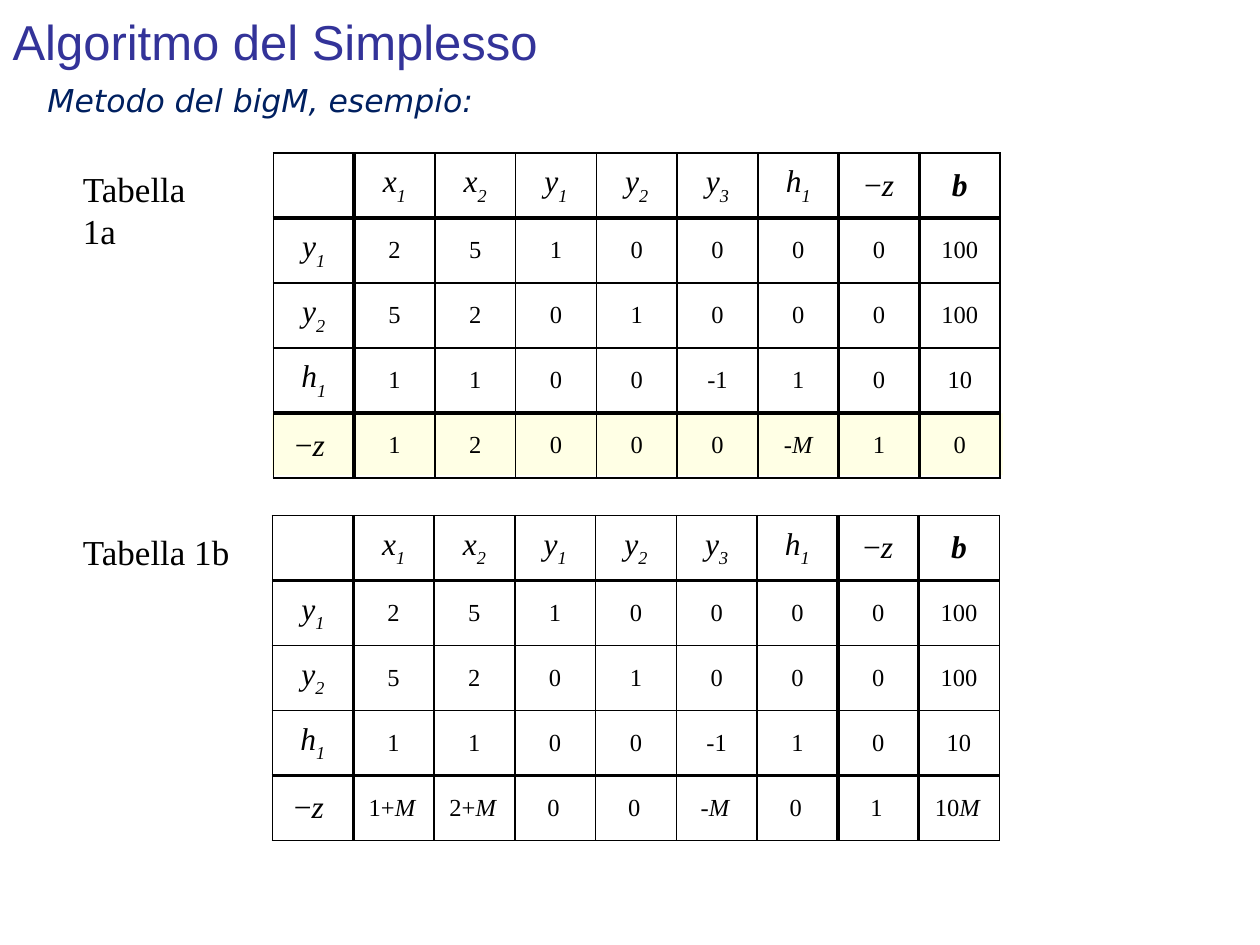
from itertools import groupby

from lxml import etree
from pptx import Presentation
from pptx.dml.color import RGBColor
from pptx.enum.shapes import MSO_SHAPE
from pptx.enum.text import MSO_ANCHOR, MSO_AUTO_SIZE, PP_ALIGN
from pptx.oxml.ns import qn
from pptx.util import Pt

RECT = MSO_SHAPE.RECTANGLE
MIDDLE, TOP = MSO_ANCHOR.MIDDLE, MSO_ANCHOR.TOP
LEFT, CENTER = PP_ALIGN.LEFT, PP_ALIGN.CENTER
FIXED, GROW = MSO_AUTO_SIZE.NONE, MSO_AUTO_SIZE.SHAPE_TO_FIT_TEXT
SERIF = "Times New Roman"
THIN, THICK = 1, 2.25
COLS, ROWS = 9, 5
COL, ROW = 46.15, 37.15
HEAVY_ROWS, HEAVY_COLS = (1, 4), (1, 7, 8)

HEAD = ["", "x_1", "x_2", "y_1", "y_2", "y_3", "h_1", "−z", "b"]
BODY = [
    ["y_1", "2", "5", "1", "0", "0", "0", "0", "100"],
    ["y_2", "5", "2", "0", "1", "0", "0", "0", "100"],
    ["h_1", "1", "1", "0", "0", "-1", "1", "0", "10"],
]
COST = ["−z ", "1", "2", "0", "0", "0", "-M", "1", "0"]
BIGM = ["", "1+M", "2+M", "0", "0", "-M", "0", "1", "10M"]
BLANK = [""] * COLS


def paint(code):
    """Turn a hex string into a colour."""
    return RGBColor.from_string(code)


def style(font, color="000000", **values):
    """Set font attributes and colour."""
    for key, value in values.items():
        setattr(font, key, value)
    font.color.rgb = paint(color)


def fill_text(shape, text, anchor, fit, **values):
    """Put one left-aligned paragraph in a shape."""
    frame = shape.text_frame
    frame.text = text
    for key, value in {"word_wrap": True, "auto_size": fit,
                       "vertical_anchor": anchor}.items():
        setattr(frame, key, value)
    para = frame.paragraphs[0]
    para.alignment = LEFT
    style(para.runs[0].font, **values)


def add_title(slide, box, text):
    """Place the slide title in its box."""
    title = slide.shapes.title
    for key, value in zip(("left", "top", "width", "height"), box):
        setattr(title, key, Pt(value))
    fill_text(title, text, MIDDLE, FIXED, color="333399",
              name="Arial", size=Pt(28))


def add_text(slide, box, text, **values):
    """Place a text box."""
    shape = slide.shapes.add_textbox(*map(Pt, box))
    fill_text(shape, text, TOP, GROW, **values)


def add_band(slide, box):
    """Place the pale band behind the cost row."""
    band = slide.shapes.add_shape(RECT, *map(Pt, box))
    band.shadow.inherit = False
    band.line.fill.background()
    band.fill.solid()
    band.fill.fore_color.rgb = paint("FFFFCC")
    color = band.fill._xPr.find(".//" + qn("a:srgbClr"))
    etree.SubElement(color, qn("a:alpha")).set("val", "50000")


def write_math(cell, text, size):
    """Write symbols in italics, with subscripts after an underscore."""
    cell.vertical_anchor = MIDDLE
    para = cell.text_frame.paragraphs[0]
    para.alignment = CENTER
    base, _, sub = text.partition("_")
    parts = [("".join(part), slant, False)
             for slant, part in groupby(base, str.isalpha)]
    if sub:
        parts.append((sub, True, True))
    for part, slant, low in parts:
        run = para.add_run()
        run.text = part
        style(run.font, name=SERIF, size=Pt(size), italic=slant,
              bold=part == "b")
        if low:
            run._r.get_or_add_rPr().set("baseline", "-30000")


def add_edge(cell, side, width):
    """Draw one cell border, or clear it when width is zero."""
    props = cell._tc.get_or_add_tcPr()
    edge = etree.SubElement(props, qn("a:ln" + side), w=str(Pt(width)))
    if width:
        solid = etree.SubElement(edge, qn("a:solidFill"))
        etree.SubElement(solid, qn("a:srgbClr"), val="000000")
    else:
        etree.SubElement(edge, qn("a:noFill"))


def add_grid(slide, left, top, rows, ruled=True):
    """Place a simplex table with its rules."""
    frame = slide.shapes.add_table(
        ROWS, COLS, Pt(left), Pt(top), Pt(COL * COLS), Pt(ROW * ROWS))
    table = frame.table
    table.first_row = table.horz_banding = False
    for col in table.columns:
        col.width = Pt(COL)
    for r, row in enumerate(rows):
        table.rows[r].height = Pt(ROW)
        for c, text in enumerate(row):
            cell = table.cell(r, c)
            write_math(cell, text, 14 if r and c else 18)
            sides = {"L": c in HEAVY_COLS, "R": c + 1 in HEAVY_COLS,
                     "T": r in HEAVY_ROWS, "B": r + 1 in HEAVY_ROWS}
            for side, heavy in sides.items():
                width = THICK if heavy else THIN
                add_edge(cell, side, width if ruled else 0)
            cell.fill.background()


def main():
    """Build and save the slide."""
    deck = Presentation()
    deck.slide_width, deck.slide_height = Pt(720), Pt(540)
    slide = deck.slides.add_slide(deck.slide_layouts[5])
    label = {"name": SERIF, "size": Pt(20)}
    add_title(slide, (0, -2, 648, 51), "Algoritmo del Simplesso")
    add_text(slide, (20, 42.5, 613, 29), "Metodo del bigM, esempio:",
             color="002060", name="DejaVu Sans", size=Pt(18), italic=True)
    add_band(slide, (155.5, 236.2, 417.6, 35.3))
    add_grid(slide, 156.2, 87.4, [HEAD, *BODY, COST])
    add_text(slide, (40.3, 92.2, 94.3, 31), "Tabella 1a", **label)
    add_grid(slide, 155.7, 294.6, [HEAD, *BODY, [COST[0], *BLANK[1:]]])
    add_text(slide, (40.3, 299.5, 100.1, 31), "Tabella 1b", **label)
    add_grid(slide, 154.8, 294.6, [BLANK] * 4 + [BIGM], ruled=False)
    deck.save("out.pptx")


if __name__ == "__main__":
    main()
